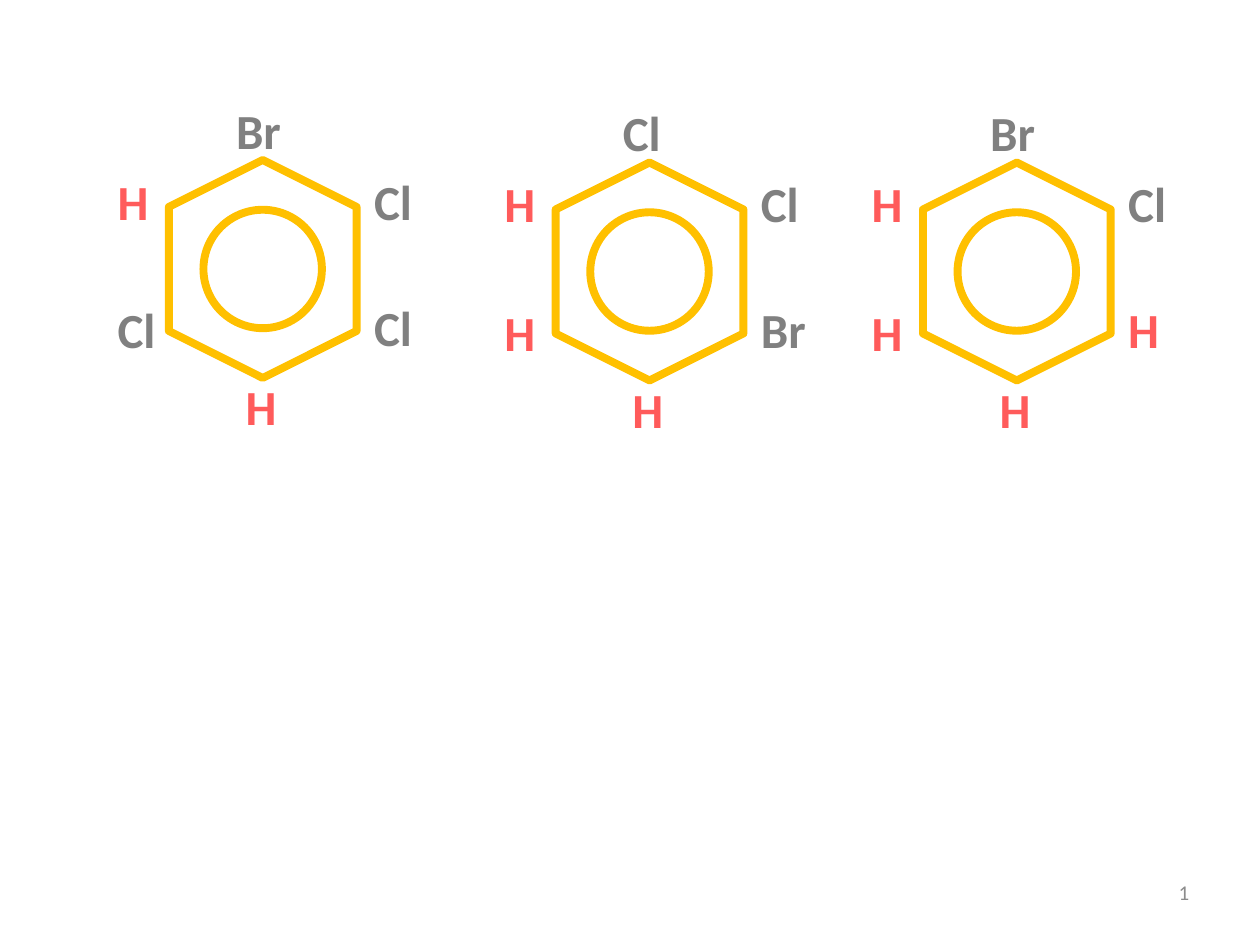
import copy
import pptx
import pptx.util
import pptx.dml.color
import pptx.enum.shapes
import pptx.enum.text
import pptx.oxml.ns

SHAPE = pptx.enum.shapes.MSO_SHAPE
RGB = pptx.dml.color.RGBColor.from_string

RINGS = [
    {"center": (20.85, 21.35), "atoms": ["Br", "Cl", "Cl", "H", "Cl", "H"]},
    {"center": (51.55, 21.55), "atoms": ["Cl", "Cl", "Br", "H", "H", "H"]},
    {"center": (80.7, 21.55), "atoms": ["Br", "Cl", "H", "H", "H", "H"]},
]
LABEL_OFFSETS = [(-3.1, -13.9), (7.85, -8.25), (7.85, 1.75),
                 (-2.35, 8.05), (-12.5, 1.95), (-12.5, -8.25)]
HEXAGON, CIRCLE, LABEL = (17.3, 14.9), (9.4, 9.4), (11.8, 5.7)
NUMBER_BOX = (73.6, 68.2, 21.8, 5.2)
THEME = {"font": "Calibri", "ring": "FFC000", "hydrogen": "FF5B5B",
         "halogen": "808080", "number": "8C8C8C",
         "label_pt": 28, "number_pt": 12, "line_pt": 4.5}

prs = pptx.Presentation()
prs.slide_width = pptx.util.Inches(10)
prs.slide_height = pptx.util.Inches(7.5)
UNIT = prs.slide_width / 100


def grid(*cells):
    return [pptx.util.Emu(round(cell * UNIT)) for cell in cells]


def style(p, size, color, bold=False):
    p.font.name = THEME["font"]
    p.font.size = pptx.util.Pt(size)
    p.font.bold = bold
    p.font.color.rgb = RGB(color)


def add_outline(group, kind, center, size, rotation=0):
    (x, y), (w, h) = center, size
    sp = group.shapes.add_shape(kind, *grid(x - w / 2, y - h / 2, w, h))
    sp.rotation = rotation
    sp.shadow.inherit = False
    sp.fill.background()
    sp.line.color.rgb = RGB(THEME["ring"])
    sp.line.width = pptx.util.Pt(THEME["line_pt"])


def add_atom(group, atom, center, offset):
    x, y = center[0] + offset[0], center[1] + offset[1]
    tf = group.shapes.add_textbox(*grid(x, y, *LABEL)).text_frame
    tf.word_wrap = True
    tf.auto_size = pptx.enum.text.MSO_AUTO_SIZE.SHAPE_TO_FIT_TEXT
    p = tf.paragraphs[0]
    p.text = atom
    color = THEME["hydrogen" if atom == "H" else "halogen"]
    style(p, THEME["label_pt"], color, bold=True)


def add_ring(s, center, atoms):
    group = s.shapes.add_group_shape()
    add_outline(group, SHAPE.HEXAGON, center, HEXAGON, rotation=90)
    add_outline(group, SHAPE.OVAL, center, CIRCLE)
    for atom, offset in zip(atoms, LABEL_OFFSETS):
        add_atom(group, atom, center, offset)


def add_slide_number(s):
    kind = pptx.enum.shapes.PP_PLACEHOLDER.SLIDE_NUMBER
    source = next(ph for ph in s.slide_layout.placeholders
                  if ph.placeholder_format.type == kind)
    s.shapes._spTree.append(copy.deepcopy(source._element))
    sp = s.shapes[-1]
    sp.left, sp.top, sp.width, sp.height = grid(*NUMBER_BOX)
    for text in sp._element.iter(pptx.oxml.ns.qn("a:t")):
        text.text = "1"
    tf = sp.text_frame
    tf.vertical_anchor = pptx.enum.text.MSO_ANCHOR.MIDDLE
    p = tf.paragraphs[0]
    p.alignment = pptx.enum.text.PP_ALIGN.RIGHT
    style(p, THEME["number_pt"], THEME["number"])


s = prs.slides.add_slide(prs.slide_layouts[6])
add_slide_number(s)
for ring in RINGS:
    add_ring(s, ring["center"], ring["atoms"])
prs.save("out.pptx")
